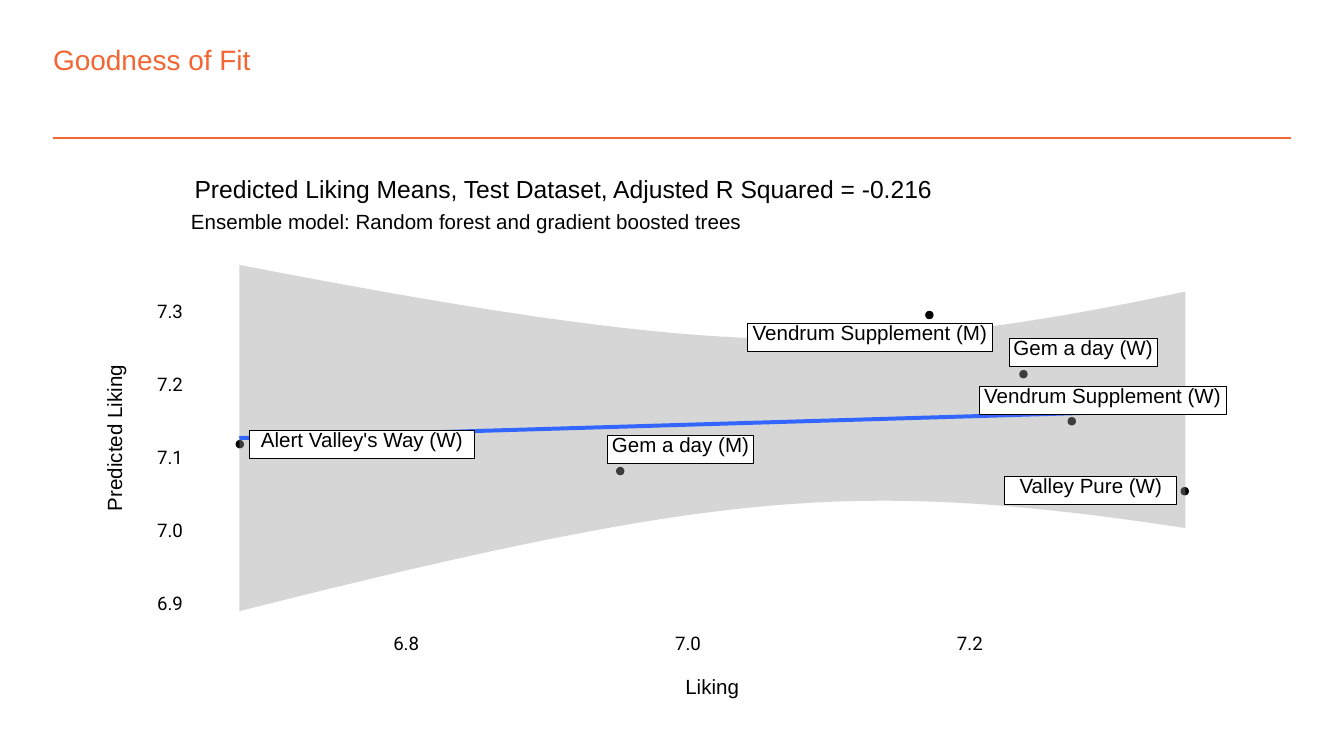
from math import sqrt

from lxml.etree import SubElement
from pptx import Presentation
from pptx.dml.color import RGBColor
from pptx.enum.shapes import MSO_CONNECTOR, MSO_SHAPE
from pptx.enum.text import MSO_ANCHOR, MSO_AUTO_SIZE, PP_ALIGN
from pptx.oxml.ns import qn
from pptx.util import Pt

ORANGE = RGBColor(0xF3, 0x66, 0x33)
BLUE = RGBColor(0x33, 0x66, 0xFF)
GRAY = RGBColor(0x99, 0x99, 0x99)
BLACK = RGBColor(0, 0, 0)
WHITE = RGBColor(0xFF, 0xFF, 0xFF)

PRODUCTS = [
    ("Alert Valley's Way (W)", (74.5, 144.4), (79.4, 137.2, 121)),
    ("Vendrum Supplement (M)", (443.9, 75.2), (346.5, 79.5, 131.2)),
    ("Vendrum Supplement (W)", (520.2, 132.1), (470.5, 113.4, 132.5)),
    ("Valley Pure (W)", (580.7, 169.6), (484.3, 161.7, 92.2)),
    ("Gem a day (M)", (278.3, 158.8), (271.7, 139.7, 77.8)),
    ("Gem a day (W)", (494.3, 106.9), (486.7, 87.8, 79.2)),
]
FIT_START, FIT_END = (74.2, 141.1), (581, 126)
BAND_VARIANCE, BAND_STEPS = 1897, 79


def style_text(shape, text, size, font="Arial", color=BLACK):
    """Write one unwrapped, centred line of text with exact line spacing."""
    frame = shape.text_frame
    frame.word_wrap = False
    frame.vertical_anchor = MSO_ANCHOR.MIDDLE
    frame.margin_left = frame.margin_right = frame.margin_top = frame.margin_bottom = 0
    paragraph = frame.paragraphs[0]
    paragraph.text = text
    paragraph.alignment = PP_ALIGN.CENTER
    paragraph.line_spacing = Pt(size)
    paragraph.font.size = Pt(size)
    paragraph.font.name = font
    paragraph.font.color.rgb = color
    return paragraph


def add_text(slide, text, center_x, center_y, width, size=11, font="Arial"):
    """Add a plain text box around a centre point."""
    left, top = center_x - width / 2, center_y - size / 2
    box = slide.shapes.add_textbox(Pt(left), Pt(top), Pt(width), Pt(size))
    style_text(box, text, size, font)
    return box


def add_filled(slide, kind, box, fill, line, line_width):
    """Add a preset shape with a fill and an outline."""
    shape = slide.shapes.add_shape(kind, *map(Pt, box))
    shape.shadow.inherit = False
    shape.fill.solid()
    shape.fill.fore_color.rgb = fill
    shape.line.color.rgb = line
    shape.line.width = Pt(line_width)
    return shape


def add_line(slide, start, end, color, width):
    """Add a straight line without a shadow."""
    line = slide.shapes.add_connector(MSO_CONNECTOR.STRAIGHT, *map(Pt, start + end))
    line.line.color.rgb = color
    line.line.width = Pt(width)
    SubElement(line._element.spPr, qn("a:effectLst"))


def add_header(slide, left, top, width, height):
    """Place the title and the rule along the bottom of the header."""
    title = slide.shapes.title
    title.left, title.top, title.width, title.height = Pt(left), Pt(top), Pt(597), Pt(18)
    paragraph = style_text(title, "Goodness of Fit", 15, color=ORANGE)
    paragraph.line_spacing = 1.0
    paragraph.alignment = PP_ALIGN.LEFT
    title.text_frame.word_wrap = True
    title.text_frame.auto_size = MSO_AUTO_SIZE.NONE
    title.text_frame.vertical_anchor = MSO_ANCHOR.TOP
    add_line(slide, (left, top + height), (left + width, top + height), ORANGE, 1)


def add_confidence_band(slide, left, top):
    """Draw the translucent regression band around the fitted line."""
    (x_start, y_start), (x_end, y_end) = FIT_START, FIT_END
    count = len(PRODUCTS)
    mean = sum(point[0] for _, point, _ in PRODUCTS) / count
    spread = sum((point[0] - mean) ** 2 for _, point, _ in PRODUCTS) / count
    upper, lower = [], []
    for step in range(BAND_STEPS + 1):
        share = step / BAND_STEPS
        x = x_start + share * (x_end - x_start)
        y = y_start + share * (y_end - y_start)
        half = sqrt(BAND_VARIANCE * (1 + (x - mean) ** 2 / spread))
        upper.append((Pt(left + x), Pt(top + y - half)))
        lower.append((Pt(left + x), Pt(top + y + half)))
    outline = upper + lower[::-1]
    builder = slide.shapes.build_freeform(*outline[0], scale=1.0)
    builder.add_line_segments(outline[1:], close=True)
    band = builder.convert_to_shape()
    band.shadow.inherit = False
    band.fill.solid()
    band.fill.fore_color.rgb = GRAY
    band.line.fill.background()
    color = band._element.spPr.find(qn("a:solidFill"))[0]
    SubElement(color, qn("a:alpha"), val="40000")


def add_axes(slide, left, top):
    """Place the tick labels and the axis titles."""
    for index, label in enumerate(("7.3", "7.2", "7.1", "7.0", "6.9")):
        add_text(slide, label, left + 37.1, top + 74.2 + 39.05 * index, 20, 10, "Roboto")
    for index, label in enumerate(("6.8", "7.0", "7.2")):
        add_text(slide, label, left + 163.6 + 151 * index, top + 252, 20, 10, "Roboto")
    add_text(slide, "Liking", left + 327.6, top + 275, 36)
    add_text(slide, "Predicted Liking", left + 8.2, top + 141, 90).rotation = 270


def add_scatter_plot(slide, left, top, width, height):
    """Place the plot of predicted against observed liking."""
    add_filled(slide, MSO_SHAPE.RECTANGLE, (left, top, width, height), WHITE, WHITE, 1.07)
    for _, (x, y), _ in PRODUCTS:
        dot = (left + x - 1.9, top + y - 1.9, 3.8, 3.8)
        add_filled(slide, MSO_SHAPE.OVAL, dot, BLACK, BLACK, 0.71)
    add_confidence_band(slide, left, top)
    start, end = [(left + x, top + y) for x, y in (FIT_START, FIT_END)]
    add_line(slide, start, end, BLUE, 2.13)
    for name, _, (x, y, label_width) in PRODUCTS:
        box = (left + x, top + y, label_width, 15.1)
        label = add_filled(slide, MSO_SHAPE.RECTANGLE, box, WHITE, BLACK, 0.53)
        style_text(label, name, 11)
        label.text_frame.margin_bottom = Pt(3.4)
    subtitle = "Ensemble model: Random forest and gradient boosted trees"
    heading = "Predicted Liking Means, Test Dataset, Adjusted R Squared = -0.216"
    add_axes(slide, left, top)
    add_text(slide, subtitle, left + 195.9, top + 25.9, 310)
    add_text(slide, heading, left + 247.7, top + 9, 410, 13.2)


def main():
    """Build and save the slide."""
    presentation = Presentation()
    presentation.slide_width, presentation.slide_height = Pt(720), Pt(405)
    slide = presentation.slides.add_slide(presentation.slide_layouts[5])
    add_header(slide, 28.4, 23, 663.2, 50.8)
    add_scatter_plot(slide, 54, 93.6, 612, 288)
    presentation.save("out.pptx")


if __name__ == "__main__":
    main()
